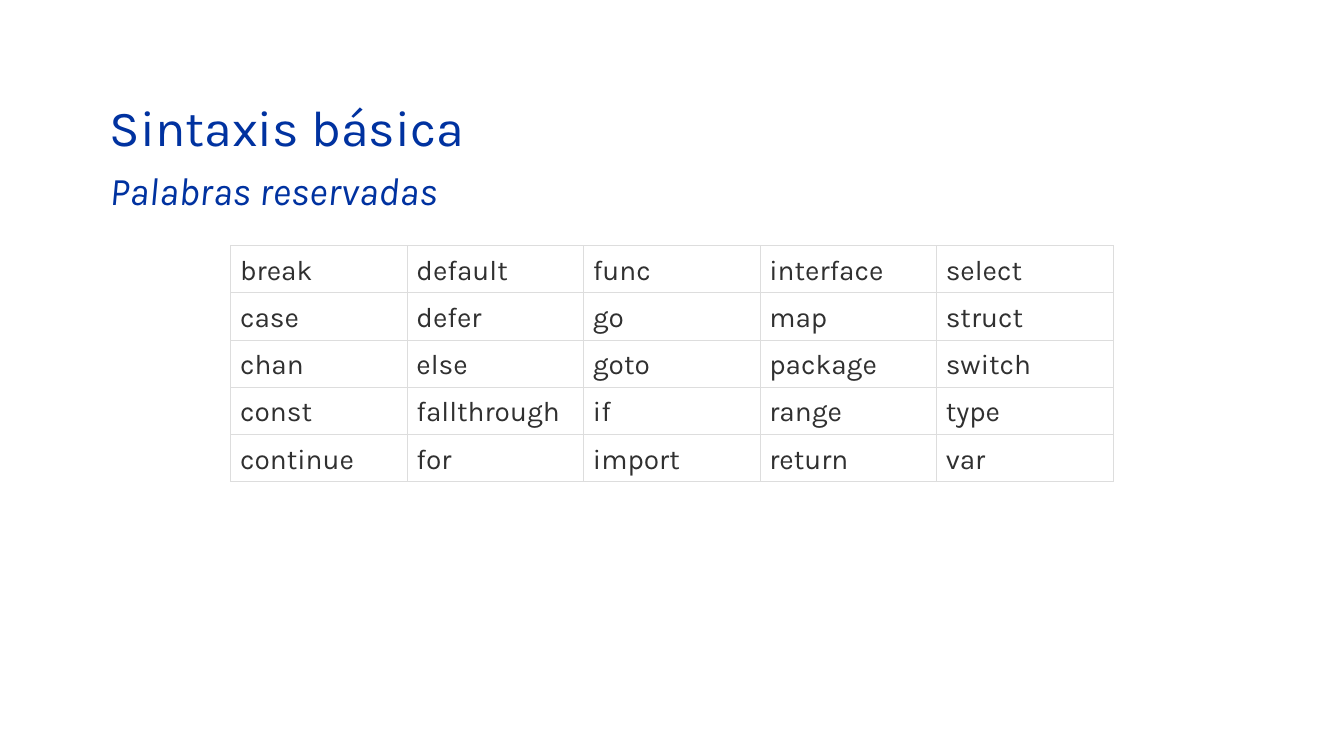
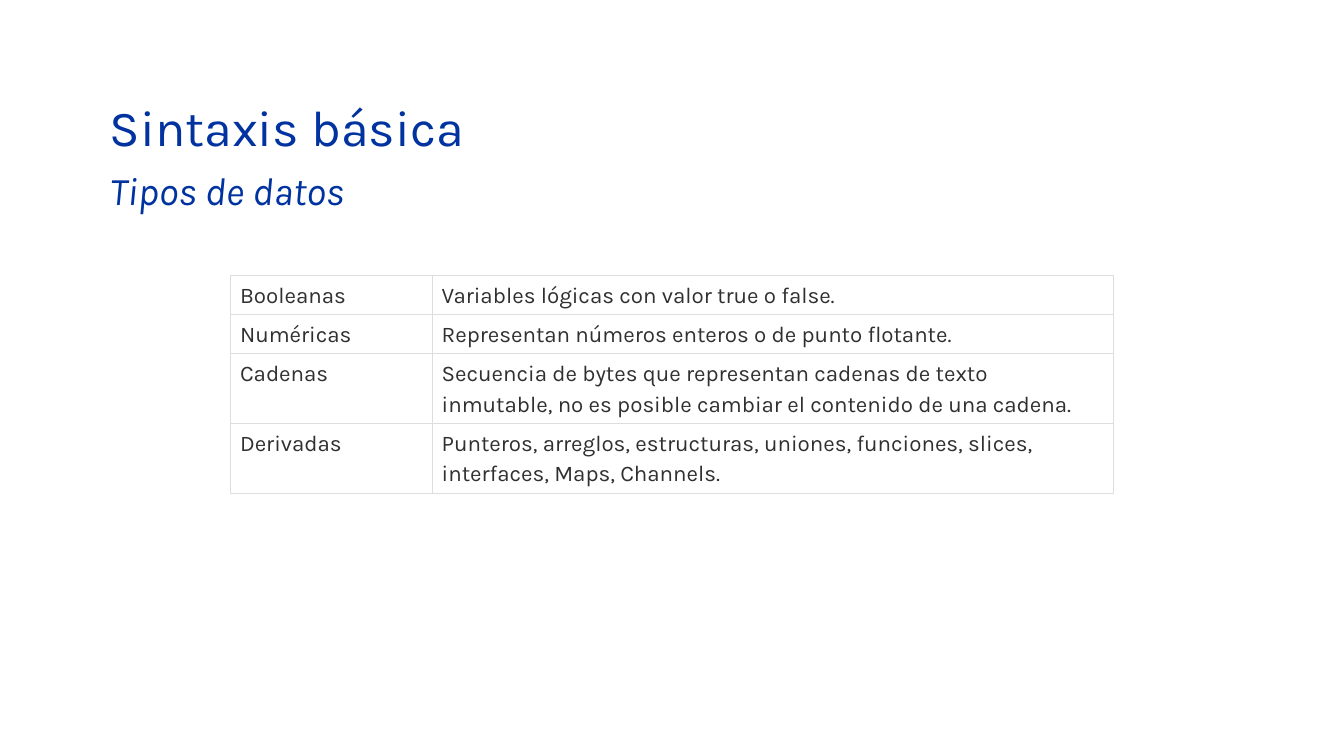
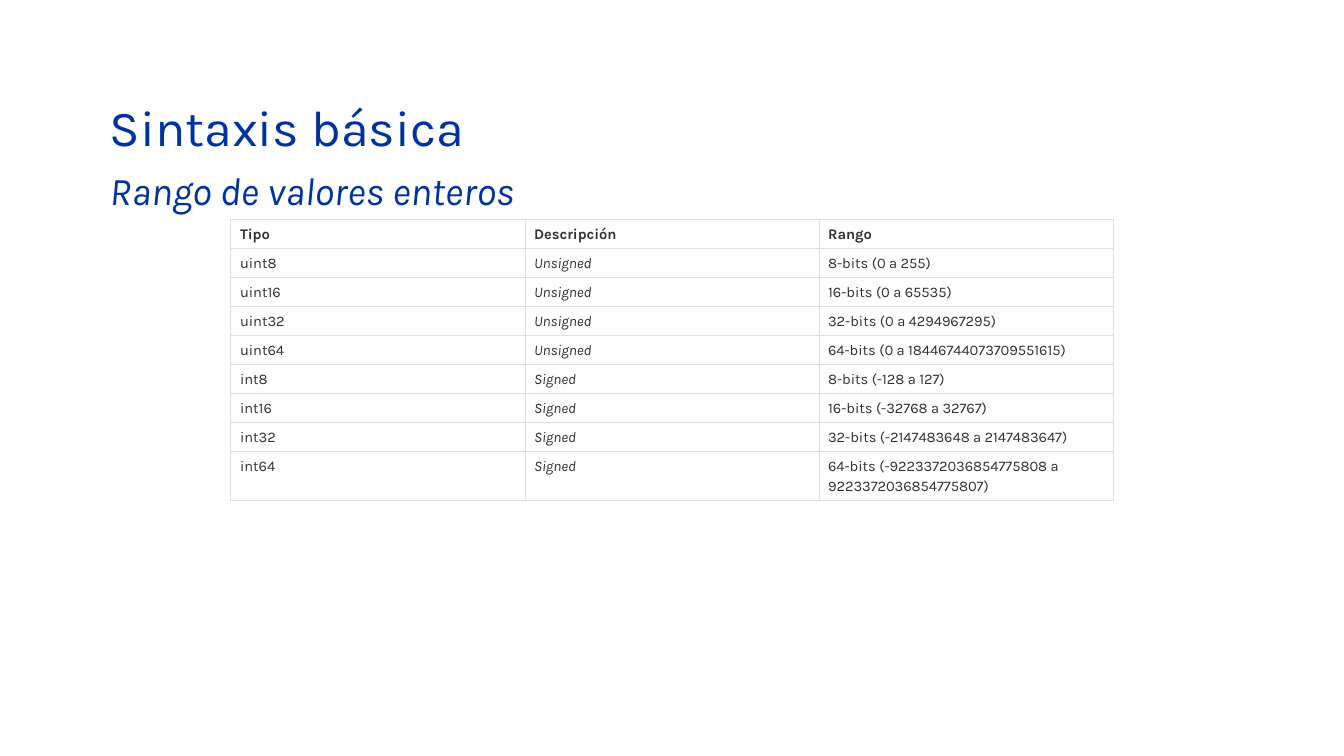
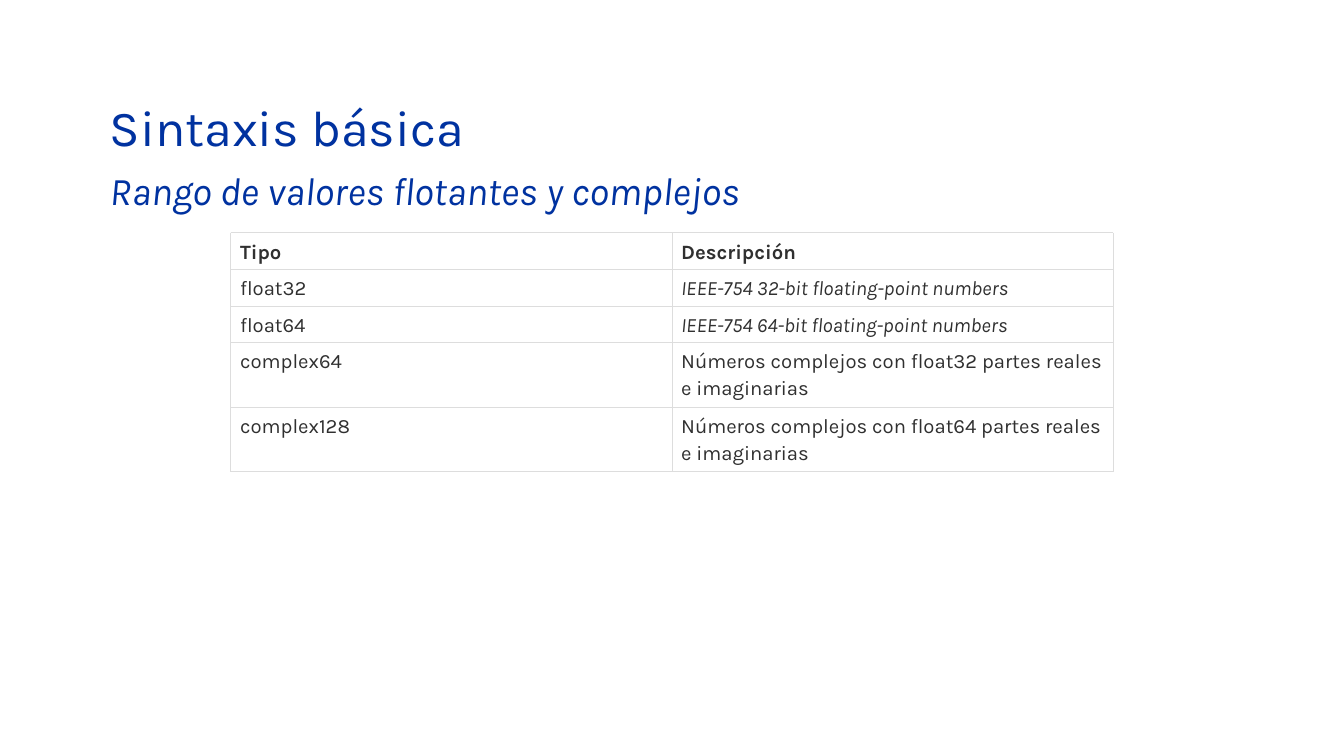
import lxml.etree
import pptx
import pptx.dml.color
import pptx.enum.text
import pptx.oxml.ns
import pptx.util

Cm = pptx.util.Cm
COLORS = {"title": "0032A0", "text": "303030", "border": "DDDDDD", "cell": "FFFFFF"}
FONT = "Karla"
TITLE = "Sintaxis básica"
TITLE_BOX = (Cm(2.51), Cm(2.44), Cm(28.83), Cm(3.86))
TABLE_LEFT, TABLE_WIDTH = Cm(5.82), Cm(22.23)
ENGLISH_STARTS = ("Unsigned", "Signed", "IEEE")

KEYWORDS = [
    ["break", "default", "func", "interface", "select"],
    ["case", "defer", "go", "map", "struct"],
    ["chan", "else", "goto", "package", "switch"],
    ["const", "fallthrough", "if", "range", "type"],
    ["continue", "for", "import", "return", "var"],
]
DATA_TYPES = [
    ["Booleanas", "Variables lógicas con valor true o false."],
    ["Numéricas", "Representan números enteros o de punto flotante."],
    ["Cadenas", "Secuencia de bytes que representan cadenas de texto inmutable, "
                "no es posible cambiar el contenido de una cadena."],
    ["Derivadas", "Punteros, arreglos, estructuras, uniones, funciones, slices, "
                  "interfaces, Maps, Channels."],
]
INTEGERS = [
    ["Tipo", "Descripción", "Rango"],
    ["uint8", "Unsigned", "8-bits (0 a 255)"],
    ["uint16", "Unsigned", "16-bits (0 a 65535)"],
    ["uint32", "Unsigned", "32-bits (0 a 4294967295)"],
    ["uint64", "Unsigned", "64-bits (0 a 18446744073709551615)"],
    ["int8", "Signed", "8-bits (-128 a 127)"],
    ["int16", "Signed", "16-bits (-32768 a 32767)"],
    ["int32", "Signed", "32-bits (-2147483648 a 2147483647)"],
    ["int64", "Signed", "64-bits (-9223372036854775808 a 9223372036854775807)"],
]
FLOATS = [
    ["Tipo", "Descripción"],
    ["float32", "IEEE-754 32-bit floating-point numbers"],
    ["float64", "IEEE-754 64-bit floating-point numbers"],
    ["complex64", "Números complejos con float32 partes reales e imaginarias"],
    ["complex128", "Números complejos con float64 partes reales e imaginarias"],
]

SLIDES = [
    dict(subtitle="Palabras reservadas", top=Cm(6.19), rows=KEYWORDS, size=20,
         shares=[1] * 5, heights=[1.19] * 5),
    dict(subtitle="Tipos de datos", top=Cm(6.93), rows=DATA_TYPES, size=16,
         shares=[2, 6.75], heights=[0.99] * 2 + [1.76] * 2),
    dict(subtitle="Rango de valores enteros", top=Cm(5.54), rows=INTEGERS, size=10.5,
         shares=[1] * 3, heights=[0.73] * 8 + [1.23], header=True),
    dict(subtitle="Rango de valores flotantes y complejos", top=Cm(5.87), rows=FLOATS,
         size=14.5, shares=[1] * 2, heights=[0.92] * 3 + [1.63] * 2, header=True),
]


def rgb(name):
    return pptx.dml.color.RGBColor.from_string(COLORS[name])


def write(para, text, *, size, color, spacing, after=0, bold=False, italic=False):
    para.alignment = pptx.enum.text.PP_ALIGN.LEFT
    para.line_spacing = spacing
    para.space_after = pptx.util.Pt(after)
    span = para.add_run()
    span.text = text
    span.font.name = FONT
    span.font.size = pptx.util.Pt(size)
    span.font.color.rgb = rgb(color)
    span.font.bold = bold
    span.font.italic = italic


def prepare_layout(layout):
    title = next(box for box in layout.placeholders if box.placeholder_format.idx == 0)
    title.left, title.top, title.width, title.height = TITLE_BOX
    frame = title.text_frame
    frame.vertical_anchor = pptx.enum.text.MSO_ANCHOR.TOP
    frame.auto_size = pptx.enum.text.MSO_AUTO_SIZE.NONE


def add_heading(page, subtitle):
    frame = page.shapes.title.text_frame
    write(frame.paragraphs[0], TITLE, size=36, color="title", spacing=0.92)
    write(frame.add_paragraph(), subtitle, size=28, color="title", spacing=1.18, italic=True)


def add_borders(cell):
    properties = cell._tc.get_or_add_tcPr()
    qn = pptx.oxml.ns.qn
    for side in ("lnL", "lnR", "lnT", "lnB"):
        line = lxml.etree.SubElement(properties, qn("a:" + side), w=str(pptx.util.Pt(0.75)))
        fill = lxml.etree.SubElement(line, qn("a:solidFill"))
        lxml.etree.SubElement(fill, qn("a:srgbClr"), val=COLORS["border"])


def fill_cell(cell, text, size, bold):
    cell.margin_left = cell.margin_right = Cm(0.23)
    cell.margin_top = cell.margin_bottom = Cm(0.1)
    add_borders(cell)
    cell.fill.solid()
    cell.fill.fore_color.rgb = rgb("cell")
    write(cell.text_frame.paragraphs[0], text, size=size, color="text", spacing=1.15,
          after=17, bold=bold, italic=text.startswith(ENGLISH_STARTS))


def add_grid(page, left, top, width, rows, size, shares, heights, header):
    total = Cm(sum(heights))
    table = page.shapes.add_table(len(rows), len(shares), left, top, width, total).table
    table.first_row = header
    table.horz_banding = False
    for column, share in zip(table.columns, shares):
        column.width = round(width * share / sum(shares))
    for index, (texts, height) in enumerate(zip(rows, heights)):
        table.rows[index].height = Cm(height)
        for cell, text in zip(table.rows[index].cells, texts):
            fill_cell(cell, text, size, header and index == 0)


def add_table_slide(deck, layout, subtitle, top, rows, size, shares, heights, header=False):
    page = deck.slides.add_slide(layout)
    add_heading(page, subtitle)
    add_grid(page, TABLE_LEFT, top, TABLE_WIDTH, rows, size, shares, heights, header)


def main():
    deck = pptx.Presentation()
    deck.slide_width, deck.slide_height = Cm(33.87), Cm(19.05)
    layout = deck.slide_layouts[5]
    prepare_layout(layout)
    for content in SLIDES:
        add_table_slide(deck, layout, **content)
    deck.save("out.pptx")


if __name__ == "__main__":
    main()
